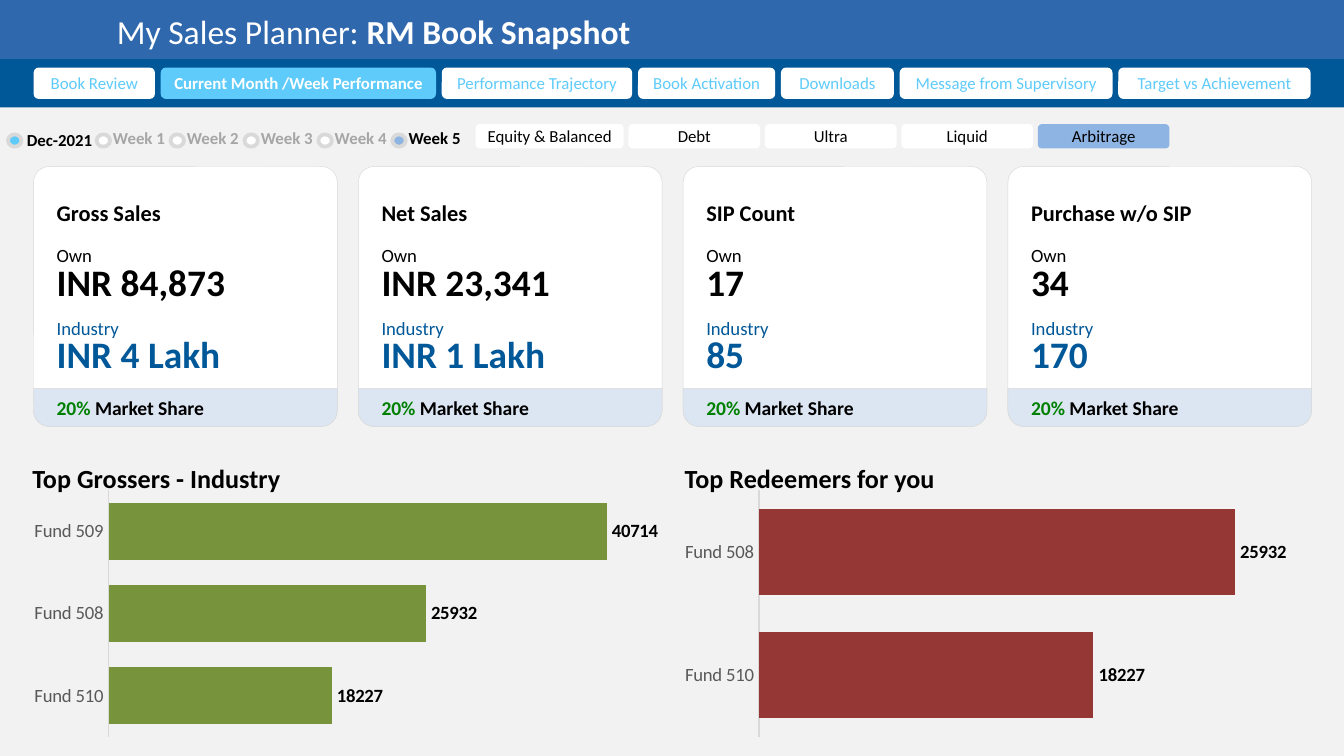
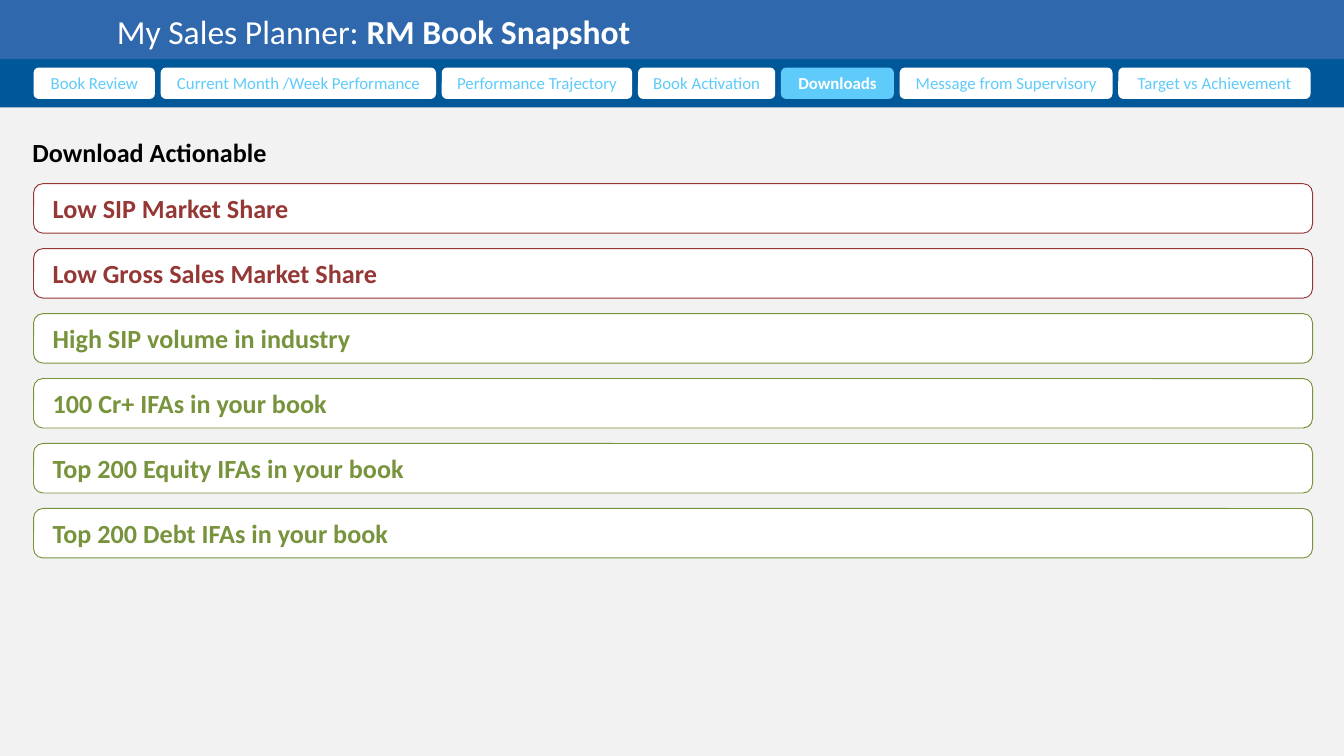
from pptx import Presentation
from pptx.chart.data import CategoryChartData
from pptx.dml.color import RGBColor
from pptx.enum.chart import XL_CHART_TYPE as ChartType
from pptx.enum.chart import XL_LABEL_POSITION as LabelPosition
from pptx.enum.chart import XL_TICK_MARK as TickMark
from pptx.enum.shapes import MSO_SHAPE as Shape
from pptx.enum.text import MSO_ANCHOR as Anchor
from pptx.enum.text import MSO_AUTO_SIZE as AutoSize
from pptx.enum.text import PP_ALIGN as Align
from pptx.util import Pt

WHITE = RGBColor(0xFF, 0xFF, 0xFF)
BLACK = RGBColor(0x00, 0x00, 0x00)
HEADER_BLUE = RGBColor(0x30, 0x68, 0xAE)
DEEP_BLUE = RGBColor(0x00, 0x58, 0x99)
SKY = RGBColor(0x5E, 0xCB, 0xFA)
SOFT_BLUE = RGBColor(0x8E, 0xB4, 0xE3)
PALE_BLUE = RGBColor(0xDC, 0xE6, 0xF2)
PAPER = RGBColor(0xF2, 0xF2, 0xF2)
RULE = RGBColor(0xD9, 0xD9, 0xD9)
MUTED = RGBColor(0xA6, 0xA6, 0xA6)
AXIS_TEXT = RGBColor(0x59, 0x59, 0x59)
SHARE_GREEN = RGBColor(0x00, 0x80, 0x00)
OLIVE = RGBColor(0x77, 0x93, 0x3C)
BRICK = RGBColor(0x95, 0x37, 0x35)

FONT = "Calibri"
WIDTH, HEIGHT = 720, 405
MARGIN = 18
CARD_STEP, CARD_WIDTH = 174, 162.7
PILL_INSETS = (5, 2.6)

TABS = [
    ("Book Review", 65),
    ("Current Month /Week Performance", 147.5),
    ("Performance Trajectory", 102),
    ("Book Activation", 73.5),
    ("Downloads", 60.5),
    ("Message from Supervisory", 114),
    ("Target vs Achievement", 103),
]
FILTERS = [
    ("Equity & Balanced", 79.2),
    ("Debt", 70.5),
    ("Ultra", 70.5),
    ("Liquid", 70.5),
    ("Arbitrage", 70.5),
]
CARDS = [
    ("Gross Sales", "INR 84,873", "INR 4 Lakh"),
    ("Net Sales", "INR 23,341", "INR 1 Lakh"),
    ("SIP Count", "17", "85"),
    ("Purchase w/o SIP", "34", "170"),
]
DOWNLOADS = [
    ("Low SIP Market Share", BRICK),
    ("Low Gross Sales Market Share", BRICK),
    ("High SIP volume in industry", OLIVE),
    ("100 Cr+ IFAs in your book", OLIVE),
    ("Top 200 Equity IFAs in your book", OLIVE),
    ("Top 200 Debt IFAs in your book", OLIVE),
]


def points(*lengths):
    return [Pt(length) for length in lengths]


def style_font(font, size, color, bold=False):
    font.name = FONT
    font.size = Pt(size)
    font.bold = bold
    font.color.rgb = color


def write(box, text, size, color, bold=False, align=Align.LEFT, insets=(0, 0)):
    frame = box.text_frame
    frame.word_wrap = True
    frame.auto_size = AutoSize.NONE
    frame.vertical_anchor = Anchor.MIDDLE
    frame.margin_left = frame.margin_right = Pt(insets[0])
    frame.margin_top = frame.margin_bottom = Pt(insets[1])
    para = frame.paragraphs[0]
    para.alignment = align
    para.add_run().text = text
    style_font(para.font, size, color, bold)
    return para


def add_block(page, kind, area, fill=None, line=None, line_width=0.25, corners=()):
    block = page.shapes.add_shape(kind, *points(*area))
    block.shadow.inherit = False
    if fill is None:
        block.fill.background()
    else:
        block.fill.solid()
        block.fill.fore_color.rgb = fill
    if line is None:
        block.line.fill.background()
    else:
        block.line.color.rgb = line
        block.line.width = Pt(line_width)
    for index, corner in enumerate(corners):
        block.adjustments[index] = corner
    return block


def add_text(page, area, text, size, color, bold=False, spacing=None):
    box = page.shapes.add_textbox(*points(*area))
    para = write(box, text, size, color, bold)
    if spacing:
        para.line_spacing = Pt(spacing)
    return para


def add_label(page, area, text, size, color=BLACK):
    label = add_block(page, Shape.ROUNDED_RECTANGLE, area)
    write(label, text, size, color, True, insets=PILL_INSETS)


def add_pills(page, items, left, top, height, gap, active, colors, active_colors, active_bold):
    for text, width in items:
        chosen = text == active
        fill, color = active_colors if chosen else colors
        pill = add_block(page, Shape.ROUNDED_RECTANGLE, (left, top, width, height), fill)
        write(pill, text, 9, color, chosen and active_bold, Align.CENTER, PILL_INSETS)
        left += width + gap


def add_page(deck, active_tab):
    page = deck.slides.add_slide(deck.slide_layouts[5])
    add_block(page, Shape.RECTANGLE, (0, 31.7, WIDTH, HEIGHT - 31.7), PAPER)
    add_block(page, Shape.RECTANGLE, (0, -0.7, WIDTH, 33.8), HEADER_BLUE)
    add_block(page, Shape.RECTANGLE, (0, 31.7, WIDTH, 25.9), DEEP_BLUE)

    title = page.shapes.title
    title.left, title.top, title.width, title.height = points(62.6, 5, 581, 23)
    para = write(title, "My Sales Planner: ", 18, WHITE)
    span = para.add_run()
    span.text = "RM Book Snapshot"
    span.font.bold = True
    title.element.getparent().append(title.element)

    add_pills(page, TABS, MARGIN, 36.2, 16.8, 3.1, active_tab, (WHITE, SKY), (SKY, WHITE), True)
    return page


def add_period(page, dot_left, label_left, text, fill, color, label_top=65.7):
    add_label(page, (label_left, label_top, 54, 16.6), text, 9, color)
    add_block(page, Shape.OVAL, (dot_left, 72, 7.2, 6.6), fill, RULE, 2)


def add_periods(page):
    add_period(page, 4.3, 8.6, "Dec-2021", SKY, BLACK, 66.5)
    for week in range(1, 6):
        left = 51.8 + 39.6 * (week - 1)
        fill, color = (SOFT_BLUE, BLACK) if week == 5 else (WHITE, MUTED)
        add_period(page, left, left + 2.9, f"Week {week}", fill, color)


def add_card(page, left, heading, own_value, industry_value):
    text_left, text_width = left + 12.4, 139.7
    add_block(page, Shape.ROUNDED_RECTANGLE, (left, 89.2, CARD_WIDTH, 139.2),
              WHITE, RULE, corners=[0.06])
    add_block(page, Shape.ROUND_2_SAME_RECTANGLE, (left, 208, CARD_WIDTH, 20.5),
              PALE_BLUE, RULE, corners=[0, 0.42])
    add_text(page, (text_left, 98.7, text_width, 31), heading, 12, BLACK, True, 14)
    measures = [("Own", own_value, BLACK), ("Industry", industry_value, DEEP_BLUE)]
    for index, (source, value, color) in enumerate(measures):
        top = 120.2 + 39 * index
        add_text(page, (text_left, top, text_width, 31), source, 10, color, spacing=14)
        add_text(page, (text_left, top + 14.2, text_width, 32.4), value, 20, color, True)
    share = add_text(page, (text_left, 209, text_width, 18.7), "20%", 10.5, SHARE_GREEN, True)
    span = share.add_run()
    span.text = " Market Share"
    span.font.color.rgb = BLACK


def add_bars(page, left, funds, color, limit):
    data = CategoryChartData()
    data.categories = [fund for fund, amount in funds]
    data.add_series("Series 1", [amount for fund, amount in funds])
    area = points(left, 260, 348.5, 137.5)
    chart = page.shapes.add_chart(ChartType.BAR_CLUSTERED, *area, data).chart
    chart.has_title = False
    chart.has_legend = False
    style_font(chart.font, 10, BLACK)

    categories = chart.category_axis
    categories.major_tick_mark = TickMark.NONE
    categories.has_major_gridlines = False
    categories.format.line.color.rgb = RULE
    categories.format.line.width = Pt(0.75)
    style_font(categories.tick_labels.font, 10, AXIS_TEXT)

    amounts = chart.value_axis
    amounts.minimum_scale = 0
    amounts.maximum_scale = limit
    amounts.has_major_gridlines = False
    amounts.visible = False

    plot = chart.plots[0]
    plot.gap_width = 43
    plot.overlap = 5
    plot.vary_by_categories = False
    series = plot.series[0]
    series.format.fill.solid()
    series.format.fill.fore_color.rgb = color
    labels = series.data_labels
    labels.show_value = True
    labels.position = LabelPosition.OUTSIDE_END
    style_font(labels.font, 10, BLACK, True)


def build_performance(deck):
    page = add_page(deck, "Current Month /Week Performance")
    add_periods(page)
    add_pills(page, FILTERS, 254.9, 66.5, 13, 2.6, "Arbitrage",
              (WHITE, BLACK), (SOFT_BLUE, BLACK), False)
    for index, card in enumerate(CARDS):
        add_card(page, MARGIN + CARD_STEP * index, *card)
    add_label(page, (11.5, 248, 171, 16.6), "Top Grossers - Industry", 14)
    add_label(page, (361, 248, 171, 16.6), "Top Redeemers for you", 14)
    redeemed = [("Fund 510", 18227), ("Fund 508", 25932)]
    add_bars(page, 11.5, redeemed + [("Fund 509", 40714)], OLIVE, 45000)
    add_bars(page, 360, redeemed, BRICK, 30000)


def build_downloads(deck):
    page = add_page(deck, "Downloads")
    add_label(page, (11.5, 73.4, 171, 16.6), "Download Actionable", 14)
    for index, (text, color) in enumerate(DOWNLOADS):
        area = (MARGIN, 98.4 + 34.8 * index, 685.2, 26.5)
        button = add_block(page, Shape.ROUNDED_RECTANGLE, area, WHITE, color, 0.5, [0.19])
        write(button, text, 14, color, True, insets=(8.8, 2.6))


def main():
    deck = Presentation()
    deck.slide_width, deck.slide_height = points(WIDTH, HEIGHT)
    build_performance(deck)
    build_downloads(deck)
    deck.save("out.pptx")


if __name__ == "__main__":
    main()
